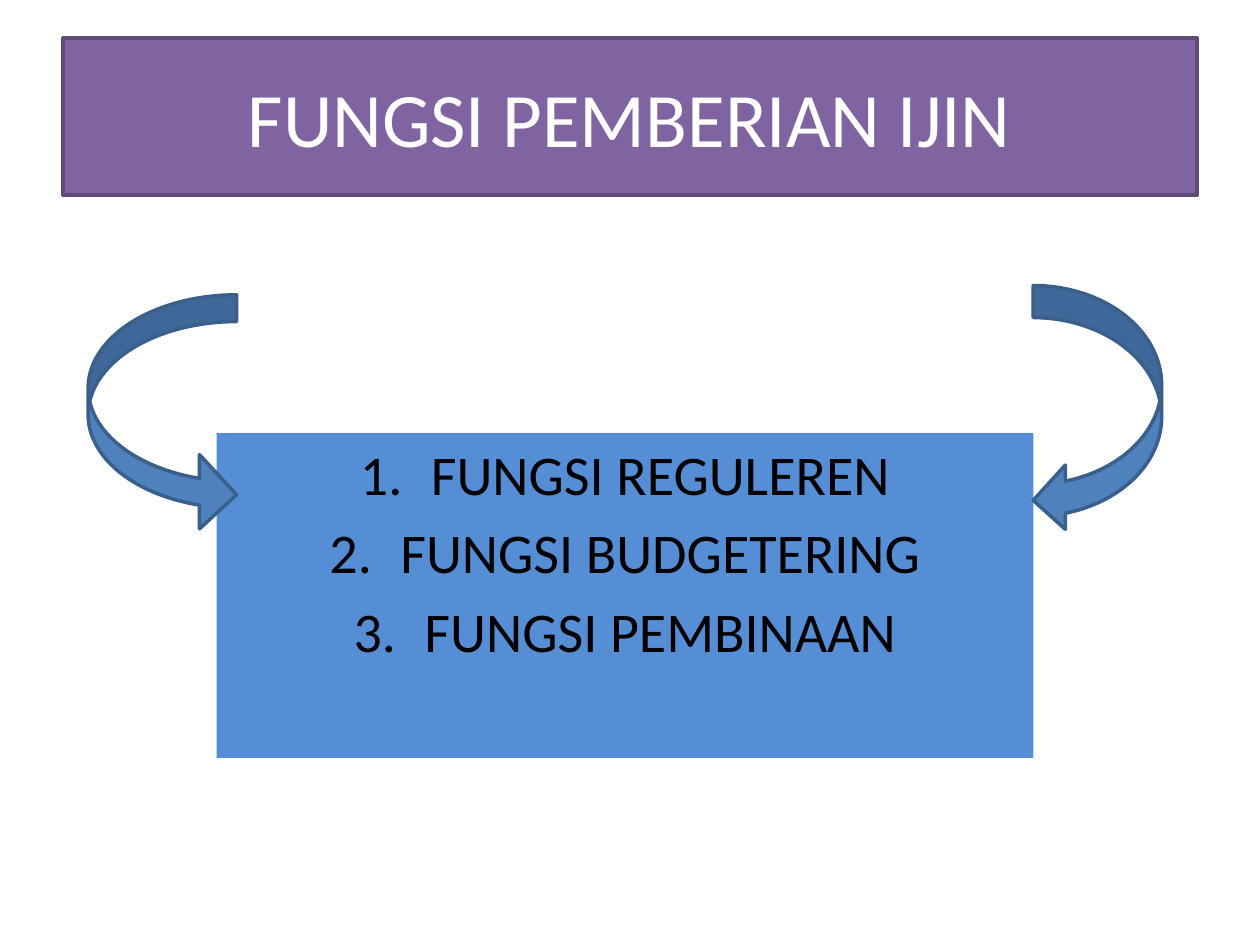
from dataclasses import dataclass

from lxml.etree import SubElement
from pptx import Presentation
from pptx.dml.color import RGBColor
from pptx.enum.shapes import MSO_SHAPE
from pptx.enum.text import MSO_ANCHOR, PP_ALIGN
from pptx.oxml.ns import qn
from pptx.util import Pt

COLORS = {
    "title": "8064A2",
    "title_line": "5F4A78",
    "list": "558ED5",
    "arrow": "4F81BD",
    "arrow_line": "3A5F8C",
    "white": "FFFFFF",
    "black": "000000",
}
FONT = "Calibri"
NUMBER_INDENT = Pt(40.5)


@dataclass(frozen=True)
class Box:
    left: float
    top: float
    width: float
    height: float


@dataclass(frozen=True)
class CurvedArrow:
    preset: MSO_SHAPE
    box: Box
    shaft: float


TITLE_BOX = Box(36, 21.6, 648, 90)
LIST_BOX = Box(123.8, 247.5, 466.8, 185.6)
FUNCTIONS = ["FUNGSI REGULEREN", "FUNGSI BUDGETERING", "FUNGSI PEMBINAAN"]
ARROWS = [
    CurvedArrow(MSO_SHAPE.CURVED_RIGHT_ARROW, Box(50.4, 168.5, 84.8, 135.4), 0.18),
    CurvedArrow(MSO_SHAPE.CURVED_LEFT_ARROW, Box(590.4, 163.2, 73.4, 141.1), 0.25),
]


def place(shape, box: Box) -> None:
    shape.left, shape.top = Pt(box.left), Pt(box.top)
    shape.width, shape.height = Pt(box.width), Pt(box.height)


def paint(shape, fill: str, line: str | None = None) -> None:
    shape.fill.solid()
    shape.fill.fore_color.rgb = RGBColor.from_string(COLORS[fill])
    if line:
        shape.line.color.rgb = RGBColor.from_string(COLORS[line])
        shape.line.width = Pt(2)


def write(paragraph, text: str, *, size: float, color: str) -> None:
    paragraph.alignment = PP_ALIGN.CENTER
    run = paragraph.add_run()
    run.text = text
    run.font.name = FONT
    run.font.size = Pt(size)
    run.font.color.rgb = RGBColor.from_string(COLORS[color])


def number(paragraph) -> None:
    """Give the paragraph an automatic number with a hanging indent."""
    properties = paragraph._p.get_or_add_pPr()
    properties.set("marL", str(NUMBER_INDENT))
    properties.set("indent", str(-NUMBER_INDENT))
    SubElement(properties, qn("a:buFont"), typeface=FONT)
    SubElement(properties, qn("a:buAutoNum"), type="arabicPeriod")


def draw_title(shape) -> None:
    place(shape, TITLE_BOX)
    paint(shape, "title", "title_line")
    shape.text_frame.vertical_anchor = MSO_ANCHOR.MIDDLE
    write(shape.text_frame.paragraphs[0], "FUNGSI PEMBERIAN IJIN", size=44, color="white")


def draw_list(shape) -> None:
    place(shape, LIST_BOX)
    paint(shape, "list")
    frame = shape.text_frame
    for index, text in enumerate(FUNCTIONS):
        paragraph = frame.add_paragraph() if index else frame.paragraphs[0]
        write(paragraph, text, size=32, color="black")
        number(paragraph)


def draw_arrow(slide, arrow: CurvedArrow) -> None:
    box = arrow.box
    shape = slide.shapes.add_shape(
        arrow.preset, Pt(box.left), Pt(box.top), Pt(box.width), Pt(box.height)
    )
    shape.shadow.inherit = False
    shape.adjustments[0] = arrow.shaft
    paint(shape, "arrow", "arrow_line")


def main() -> None:
    presentation = Presentation()
    presentation.slide_width, presentation.slide_height = Pt(720), Pt(540)
    slide = presentation.slides.add_slide(presentation.slide_layouts[1])
    draw_title(slide.shapes.title)
    draw_list(slide.placeholders[1])
    for arrow in ARROWS:
        draw_arrow(slide, arrow)
    presentation.save("out.pptx")


if __name__ == "__main__":
    main()
